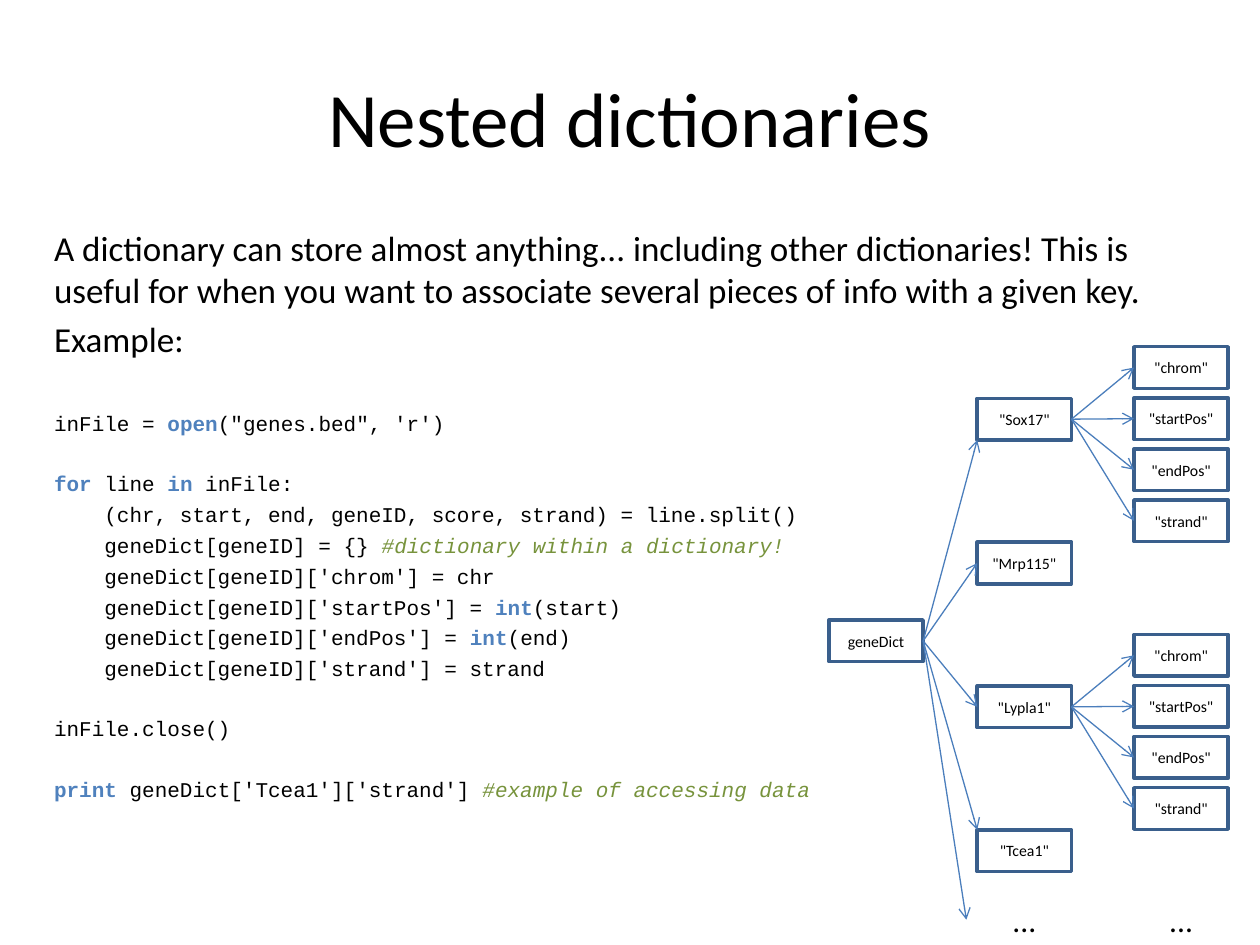
from lxml import etree
from pptx import Presentation
from pptx.dml.color import RGBColor
from pptx.enum import shapes, text
from pptx.oxml.ns import qn
from pptx.util import Cm, Pt

BLACK, KEYWORD, COMMENT = "000000", "4F81BD", "77933C"
BOX_LINE, ARROW_LINE = "3A5F8C", "4B7EBC"
BOX_WIDTH, BOX_HEIGHT = 1.9, 0.84
GENE_LEFT, FIELD_LEFT = 19.7, 22.86
GENE_TOP, GENE_STEP, FIELD_STEP = 8.03, 2.9, 1.03
GENES = ["Sox17", "Mrp115", "Lypla1", "Tcea1"]
FIELDS = ["chrom", "startPos", "endPos", "strand"]
LEFT_SIDE, RIGHT_SIDE = 1, 3

INTRO = [
    "A dictionary can store almost anything... including other dictionaries! "
    "This is useful for when you want to associate several pieces of info with a given key.",
    "Example:",
]

# Each code line: space before in points, then (text, style) spans
LINE_GAP, BLOCK_GAP, CODE_GAP = 3.2, 20, 29
CODE = [
    (CODE_GAP, [("inFile = ", ""), ("open", "key"), ("(\"genes.bed\", 'r')", "")]),
    (BLOCK_GAP, [("for", "key"), (" line ", ""), ("in ", "key"), ("inFile:", "")]),
    (LINE_GAP, [("    (chr, start, end, geneID, score, strand) = line.split()", "")]),
    (LINE_GAP, [("    geneDict[geneID] = {} ", ""),
                ("#dictionary within a dictionary!", "note")]),
    (LINE_GAP, [("    geneDict[geneID]['chrom'] = chr", "")]),
    (LINE_GAP, [("    geneDict[geneID]['startPos'] = ", ""), ("int", "key"), ("(start)", "")]),
    (LINE_GAP, [("    geneDict[geneID]['endPos'] = ", ""), ("int", "key"), ("(end)", "")]),
    (LINE_GAP, [("    geneDict[geneID]['strand'] = strand", "")]),
    (BLOCK_GAP, [("inFile.close()", "")]),
    (BLOCK_GAP, [("print ", "key"), ("geneDict['Tcea1']['strand'] ", ""),
                 ("#example of accessing data", "note")]),
]


def color(value):
    return RGBColor.from_string(value)


def add_span(para, words, size, font="Calibri", style=""):
    span = para.add_run()
    span.text = words
    span.font.name = font
    span.font.size = Pt(size)
    span.font.bold = style == "key"
    span.font.italic = style == "note"
    span.font.color.rgb = color({"key": KEYWORD, "note": COMMENT}.get(style, BLACK))


def add_text_box(page, left, top, width, height, wrap=True):
    box = page.shapes.add_textbox(Cm(left), Cm(top), Cm(width), Cm(height))
    box.text_frame.word_wrap = wrap
    return box.text_frame


def add_title(page, words):
    frame = add_text_box(page, 1.27, 0.76, 22.86, 3.18)
    frame.vertical_anchor = text.MSO_ANCHOR.MIDDLE
    para = frame.paragraphs[0]
    para.alignment = text.PP_ALIGN.CENTER
    add_span(para, words, 44)


def add_body(page):
    frame = add_text_box(page, 0.84, 4.45, 22.86, 12.57)
    for index, words in enumerate(INTRO):
        para = frame.add_paragraph() if index else frame.paragraphs[0]
        if index:
            para.space_before = Pt(4)
        add_span(para, words, 20)
    for gap, spans in CODE:
        para = frame.add_paragraph()
        para.space_before = Pt(gap)
        for words, style in spans:
            add_span(para, words, 12, "Courier New", style)


def add_node(page, left, top, words):
    box = page.shapes.add_shape(shapes.MSO_SHAPE.RECTANGLE, Cm(left), Cm(top),
                                Cm(BOX_WIDTH), Cm(BOX_HEIGHT))
    box.shadow.inherit = False
    box.fill.background()
    box.line.color.rgb = color(BOX_LINE)
    box.line.width = Pt(2)
    box.text_frame.vertical_anchor = text.MSO_ANCHOR.MIDDLE
    para = box.text_frame.paragraphs[0]
    para.alignment = text.PP_ALIGN.CENTER
    add_span(para, words, 9)
    return box


def add_arrow(page, source, target=None, end=(0, 0)):
    """Arrow from the right side of source to a target box, or to a free point."""
    arrow = page.shapes.add_connector(shapes.MSO_CONNECTOR.STRAIGHT, 0, 0,
                                      Cm(end[0]), Cm(end[1]))
    arrow.begin_connect(source, RIGHT_SIDE)
    if target is not None:
        arrow.end_connect(target, LEFT_SIDE)
    arrow.line.color.rgb = color(ARROW_LINE)
    arrow.line.width = Pt(0.75)
    etree.SubElement(arrow.line._get_or_add_ln(), qn("a:tailEnd"), type="arrow")
    etree.SubElement(arrow._element.spPr, qn("a:effectLst"))


def add_fields(page, gene, gene_top):
    for row, name in enumerate(FIELDS):
        top = gene_top - 1.04 + row * FIELD_STEP
        add_arrow(page, gene, add_node(page, FIELD_LEFT, top, f'"{name}"'))


def add_ellipsis(page, column_left):
    frame = add_text_box(page, column_left + 0.46, 18.03, 1, 1.02, wrap=False)
    add_span(frame.paragraphs[0], "...", 18)


def add_tree(page):
    root = add_node(page, 16.71, 12.5, "geneDict")
    tops = [GENE_TOP + row * GENE_STEP for row in range(len(GENES))]
    genes = [add_node(page, GENE_LEFT, top, f'"{name}"') for name, top in zip(GENES, tops)]

    # The outer genes are reached at their nearest corner
    add_arrow(page, root, end=(GENE_LEFT, tops[0] + BOX_HEIGHT))
    add_arrow(page, root, genes[1])
    add_arrow(page, root, genes[2])
    add_arrow(page, root, end=(GENE_LEFT, tops[3]))
    add_arrow(page, root, end=(19.48, 18.54))

    # Inner dictionaries of the first and third gene
    for row in (0, 2):
        add_fields(page, genes[row], tops[row])
    for left in (GENE_LEFT, FIELD_LEFT):
        add_ellipsis(page, left)


def main():
    deck = Presentation()
    deck.slide_width, deck.slide_height = Cm(25.4), Cm(19.05)
    page = deck.slides.add_slide(deck.slide_layouts[6])
    add_body(page)
    add_title(page, "Nested dictionaries")
    add_tree(page)
    deck.save("out.pptx")


if __name__ == "__main__":
    main()
